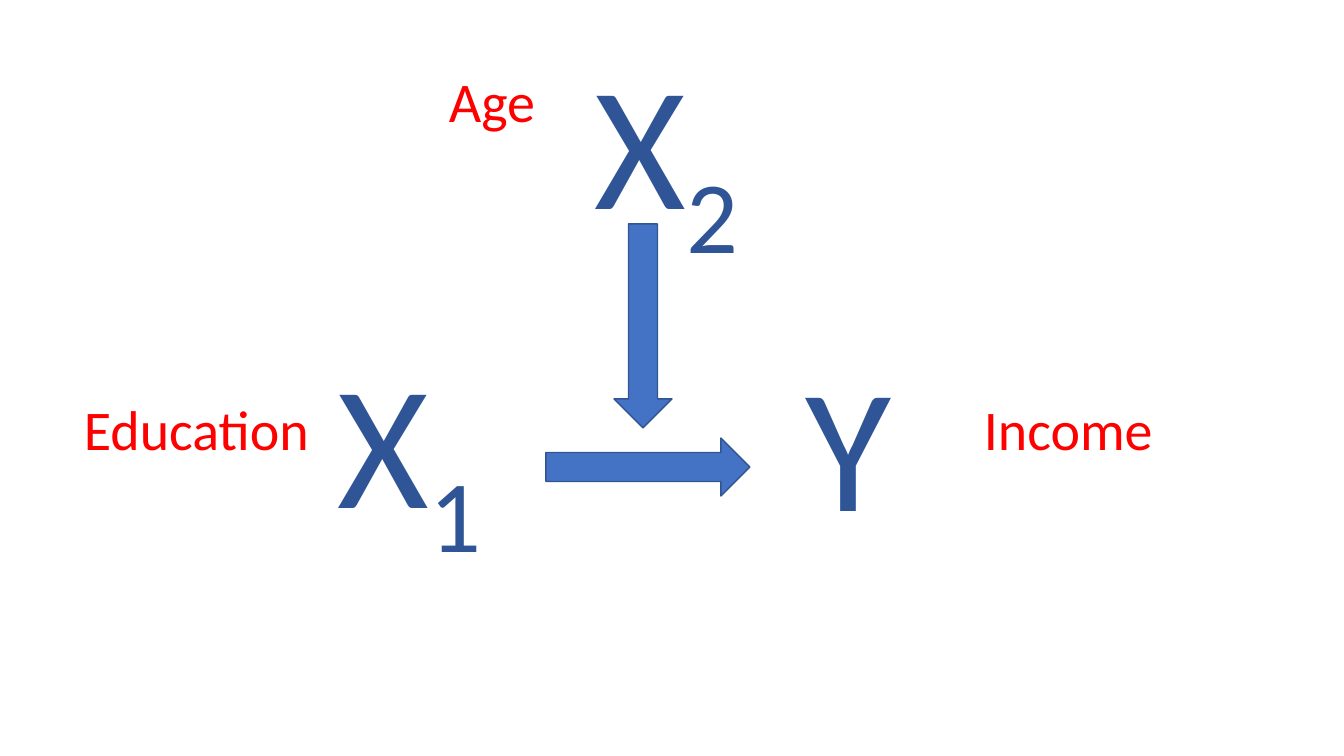
"""Build a moderation diagram: age moderates the effect of education on income."""
from pptx import Presentation
from pptx.dml.color import RGBColor
from pptx.enum.shapes import MSO_SHAPE
from pptx.enum.text import MSO_AUTO_SIZE
from pptx.util import Pt

COLORS = {"variable": "2F5597", "example": "FF0000", "arrow": "4472C4", "outline": "325491"}
FONT = "Calibri"
SLIDE_SIZE = (1344, 756)
EMU_PER_PX = 12192000 / 1344

VARIABLES = [
    ("X", "2", (585, 28, 173)),
    ("Y", "", (796, 330, 107)),
    ("X", "1", (328, 327, 173)),
]
EXAMPLES = [
    ("Age", "", (439, 62, 108)),
    ("Education", "", (74, 390, 248)),
    ("Income", "", (974, 390, 191)),
]
LABEL_STYLES = {
    "variable": {"size": 126, "height": 224},
    "example": {"size": 40, "height": 78},
}
ARROW_SIZE = (204, 58)
ARROWS = [((546, 438), 0), ((541, 297), 90)]


def emu(*lengths):
    return [round(length * EMU_PER_PX) for length in lengths]


def add_label(slide, letters, subscript, place, role):
    style = LABEL_STYLES[role]
    label = slide.shapes.add_textbox(*emu(*place, style["height"]))
    frame = label.text_frame
    frame.word_wrap = False
    frame.auto_size = MSO_AUTO_SIZE.SHAPE_TO_FIT_TEXT
    paragraph = frame.paragraphs[0]
    paragraph.font.name = FONT
    paragraph.font.size = Pt(style["size"])
    paragraph.font.color.rgb = RGBColor.from_string(COLORS[role])
    paragraph.add_run().text = letters
    if subscript:
        index = paragraph.add_run()
        index.text = subscript
        index._r.get_or_add_rPr().set("baseline", "-25000")


def add_arrow(slide, corner, rotation):
    arrow = slide.shapes.add_shape(MSO_SHAPE.RIGHT_ARROW, *emu(*corner, *ARROW_SIZE))
    arrow.rotation = rotation
    arrow.shadow.inherit = False
    arrow.fill.solid()
    arrow.fill.fore_color.rgb = RGBColor.from_string(COLORS["arrow"])
    arrow.line.color.rgb = RGBColor.from_string(COLORS["outline"])
    arrow.line.width = Pt(1)


def main():
    deck = Presentation()
    deck.slide_width, deck.slide_height = emu(*SLIDE_SIZE)
    slide = deck.slides.add_slide(deck.slide_layouts[6])
    for variable in VARIABLES:
        add_label(slide, *variable, "variable")
    for arrow in ARROWS:
        add_arrow(slide, *arrow)
    for example in EXAMPLES:
        add_label(slide, *example, "example")
    deck.save("out.pptx")


if __name__ == "__main__":
    main()
